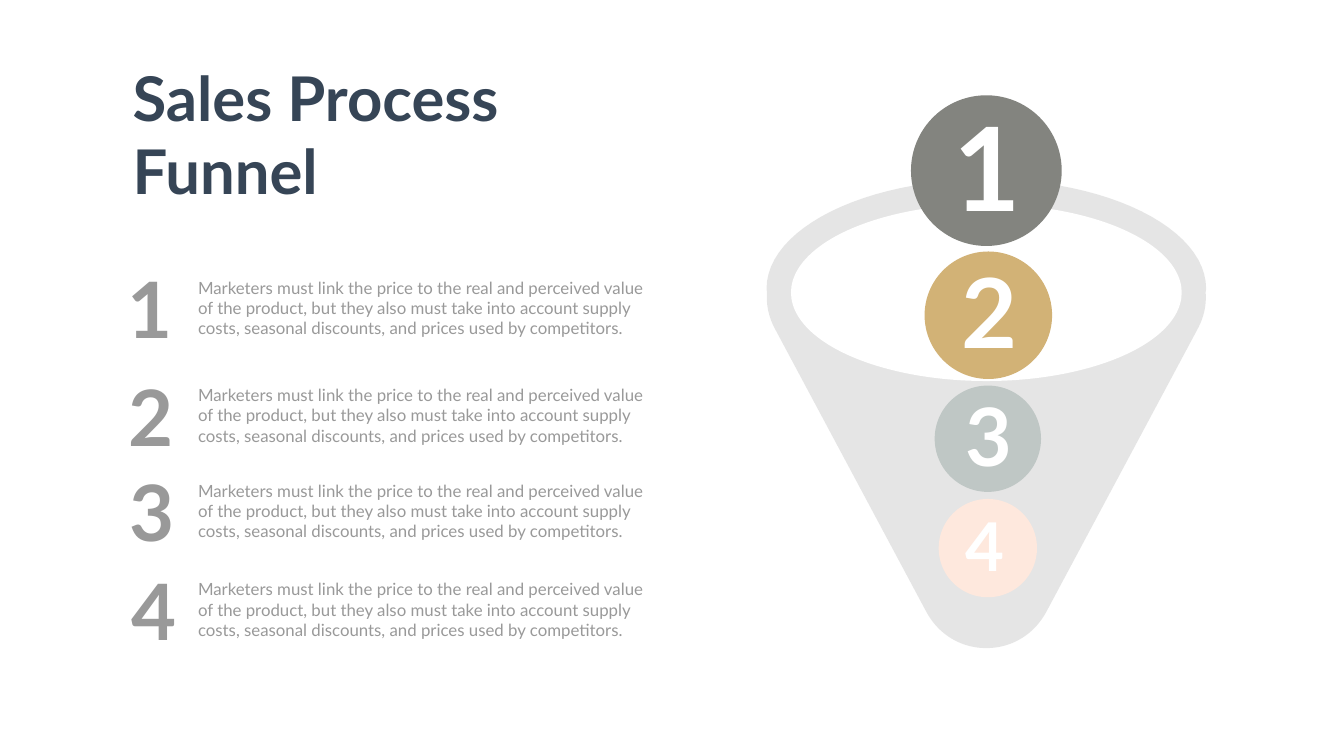
import pptx
import pptx.util
from pptx.dml.color import RGBColor
from pptx.enum.shapes import MSO_SHAPE
from pptx.enum.text import MSO_ANCHOR, MSO_AUTO_SIZE, PP_ALIGN
from pptx.oxml.xmlchemy import OxmlElement
from pptx.util import Inches, Pt

NAVY = RGBColor(0x36, 0x45, 0x56)
GRAY = RGBColor(0x99, 0x99, 0x99)
FUNNEL_GRAY = RGBColor(0x80, 0x80, 0x80)
WHITE = RGBColor(0xFF, 0xFF, 0xFF)
CHARCOAL = RGBColor(0x83, 0x84, 0x7F)
GOLD = RGBColor(0xD2, 0xB2, 0x76)
SAGE = RGBColor(0xBF, 0xC7, 0xC5)
BLUSH = RGBColor(0xFE, 0xE8, 0xDD)

TITLE = ["Sales Process", "Funnel"]
DESCRIPTION = (
    "Marketers must link the price to the real and perceived value of the product, "
    "but they also must take into account supply costs, seasonal discounts, "
    "and prices used by competitors."
)
# number, left of the number, top of the row, description
STEPS = [
    ("1", 2.44, 5.13, DESCRIPTION),
    ("2", 2.46, 7.26, DESCRIPTION),
    ("3", 2.47, 9.16, DESCRIPTION),
    ("4", 2.51, 11.11, DESCRIPTION),
]
# number, circle (left, top, diameter), fill, number box, point size
BALLS = [
    ("1", (18.07, 1.89, 2.99), CHARCOAL, (18.82, 1.85, 1.55, 2.89), 166),
    ("2", (18.34, 4.99, 2.53), GOLD, (18.97, 4.95, 1.32, 2.42), 138),
    ("3", (18.54, 7.65, 2.11), SAGE, (19.06, 7.61, 1.14, 2.04), 115),
    ("4", (18.62, 9.9, 1.95), BLUSH, (19.06, 9.95, 1.0, 1.7), 96),
]
FUNNEL_CENTER = 19.565
FUNNEL_OPACITY = 20
# Right half, from the rim's top to the tip: Bezier curves as (offset from center, y)
FUNNEL_CURVES = [
    [(0, 3.56), (2.4, 3.56), (4.36, 4.53), (4.36, 5.73)],
    [(4.35, 5.8), (4.37, 6.04), (4.32, 6.29), (4.19, 6.53)],
    [(1.19, 12.14), (0.93, 12.62), (0.47, 12.86), (0, 12.86)],
]
CURVE_STEPS = 24


def curve_points(controls):
    weights = (1, 3, 3, 1)
    for step in range(CURVE_STEPS + 1):
        t = step / CURVE_STEPS
        factors = [w * t**i * (1 - t) ** (3 - i) for i, w in enumerate(weights)]
        yield tuple(sum(f * c[axis] for f, c in zip(factors, controls)) for axis in (0, 1))


def paint(shape, color, opacity=100):
    shape.shadow.inherit = False
    shape.fill.solid()
    shape.fill.fore_color.rgb = color
    shape.line.fill.background()
    if opacity < 100:
        alpha = OxmlElement("a:alpha")
        alpha.set("val", str(opacity * 1000))
        shape.fill._xPr.solidFill.srgbClr.append(alpha)


def add_funnel(slide):
    right = [point for curve in FUNNEL_CURVES for point in curve_points(curve)]
    left = [(-x, y) for x, y in reversed(right)]
    outline = [(Inches(FUNNEL_CENTER + x), Inches(y)) for x, y in right + left]
    builder = slide.shapes.build_freeform(*outline[0], scale=1.0)
    builder.add_line_segments(outline[1:], close=True)
    paint(builder.convert_to_shape(), FUNNEL_GRAY, FUNNEL_OPACITY)


def add_oval(slide, left, top, width, height, color):
    box = map(Inches, (left, top, width, height))
    paint(slide.shapes.add_shape(MSO_SHAPE.OVAL, *box), color)


def write(shape, lines, size, color, bold=False, wrap=False):
    frame = shape.text_frame
    frame.text = "\n".join(lines)
    frame_format = {
        "word_wrap": wrap,
        "auto_size": MSO_AUTO_SIZE.SHAPE_TO_FIT_TEXT,
        "vertical_anchor": MSO_ANCHOR.TOP,
    }
    for name, value in frame_format.items():
        setattr(frame, name, value)
    for paragraph in frame.paragraphs:
        paragraph.alignment = PP_ALIGN.LEFT
        paragraph.line_spacing = 1.0
        paragraph.space_before = Pt(0)
        for run in paragraph.runs:
            for name, value in {"name": "Lato", "size": Pt(size), "bold": bold}.items():
                setattr(run.font, name, value)
            run.font.color.rgb = color


def add_text(slide, box, text, size, color, **options):
    write(slide.shapes.add_textbox(*map(Inches, box)), [text], size, color, **options)


def main():
    presentation = pptx.Presentation()
    presentation.slide_width = Inches(26.66)
    presentation.slide_height = Inches(15)
    slide = presentation.slides.add_slide(presentation.slide_layouts[5])

    title = slide.shapes.title
    title_box = {"left": 2.53, "top": 1.13, "width": 7.59, "height": 3.06}
    for name, value in title_box.items():
        setattr(title, name, Inches(value))
    write(title, TITLE, 88, NAVY, bold=True)

    add_funnel(slide)
    add_oval(slide, 15.69, 4.05, 7.75, 3.51, WHITE)
    for number, (left, top, diameter), color, box, size in BALLS:
        add_oval(slide, left, top, diameter, diameter, color)
        add_text(slide, box, number, size, WHITE, bold=True)

    for number, left, top, description in STEPS:
        add_text(slide, (left, top, 1.1, 1.97), number, 111, GRAY, bold=True)
        add_text(slide, (3.83, top + 0.33, 9.29, 1.31), description, 24, GRAY, wrap=True)

    presentation.save("out.pptx")


if __name__ == "__main__":
    main()
